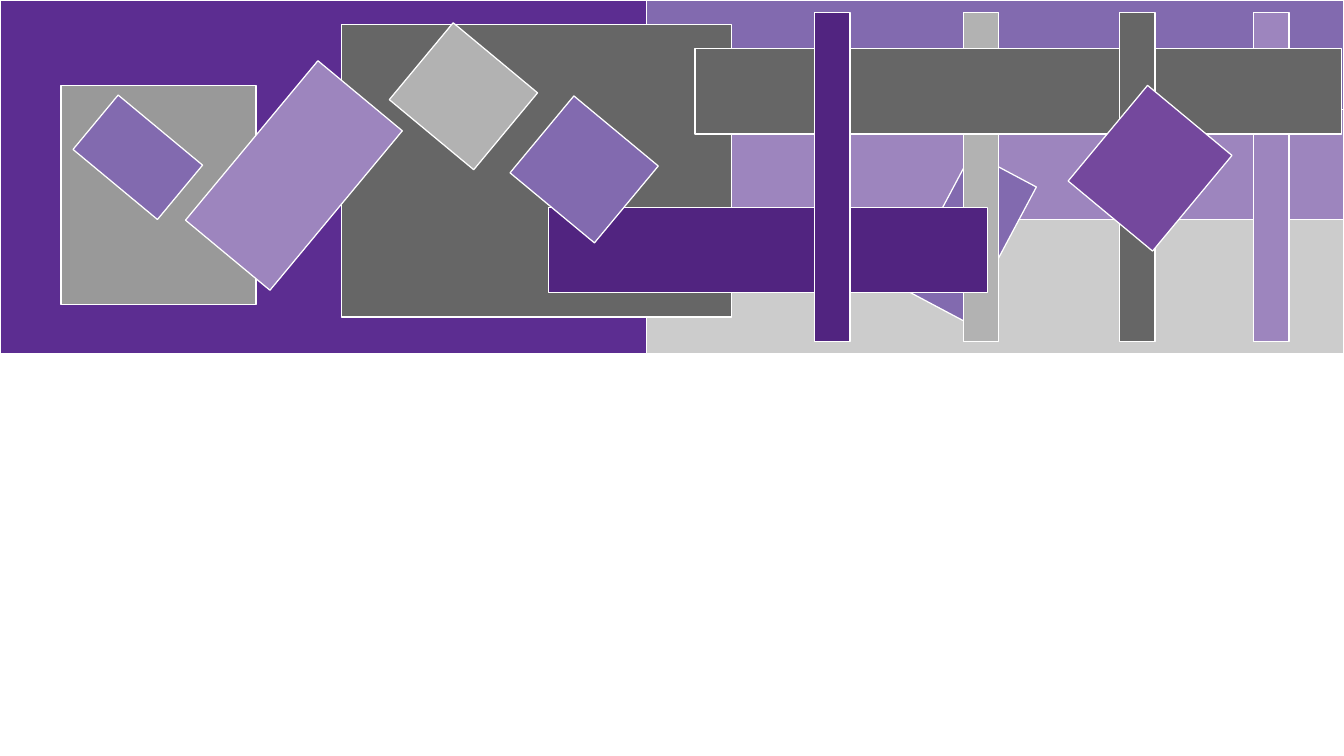
from pptx import Presentation
from pptx.dml.color import RGBColor
from pptx.enum.shapes import MSO_SHAPE
from pptx.util import Pt

WIDE, HIGH = 793.44, 446.4
SPLIT = 381.6  # x where the dark panel meets the bands
TILT = 39.7
DEEP, DARK, PLUM = "5C2D91", "512480", "74489D"
MID, PALE = "826AAF", "9D85BE"
COAL, GREY, ASH, MIST = "666666", "999999", "B2B2B2", "CCCCCC"


def color(code):
    return RGBColor.from_string(code)


class Banner:
    """Holds the outline style, the current slide and its group of blocks."""
    edge = "FFFFFF"
    post_top, post_wide, post_high = 7.2, 20.88, 194.4
    tile_wide = 64.8

    def __init__(self, slide):
        self.slide = slide
        self.group = slide.shapes.add_group_shape()

    def block(self, x, y, wide, high, fill, turn=0):
        shape = self.group.shapes.add_shape(
            MSO_SHAPE.RECTANGLE, Pt(x), Pt(y), Pt(wide), Pt(high))
        shape.rotation = turn
        shape.shadow.inherit = False
        shape.fill.solid()
        shape.fill.fore_color.rgb = color(fill)
        shape.line.color.rgb = color(self.edge)
        shape.line.width = Pt(0)

    def band(self, y, high, fill):
        self.block(SPLIT, y, WIDE - SPLIT, high, fill)

    def post(self, x, fill):
        self.block(x, self.post_top, self.post_wide, self.post_high, fill)

    def tile(self, x, y, high, fill):
        self.block(x, y, self.tile_wide, high, fill, TILT)


def main():
    deck = Presentation()
    deck.slide_width, deck.slide_height = Pt(WIDE), Pt(HIGH)
    banner = Banner(deck.slides.add_slide(deck.slide_layouts[6]))

    banner.band(64.8, 64.8, PALE)
    banner.band(129.6, 79.2, MIST)
    banner.band(0, 64.8, MID)
    banner.block(550.08, 95.04, 43.2, 90, MID, 28)
    banner.post(568.8, ASH)
    banner.post(740.16, PALE)

    banner.block(0, 0, SPLIT, 208.8, DEEP)
    banner.block(201.6, 14.4, 230.4, 172.8, COAL)
    banner.block(410.4, 28.8, 381.6, 50.4, COAL)
    banner.block(324, 122.4, 259.2, 50.4, DARK)
    banner.block(36, 50.4, 115.2, 129.6, GREY)
    banner.post(480.96, DARK)
    banner.post(660.96, COAL)

    for x, y, high, fill in [
        (141.12, 42.48, 122.4, PALE),
        (48.96, 72, 41.76, MID),
        (312.48, 70.56, 59.04, MID),
        (646.56, 62.64, 73.44, PLUM),
        (241.2, 27.36, 59.04, ASH),
    ]:
        banner.tile(x, y, high, fill)

    deck.save("out.pptx")


if __name__ == "__main__":
    main()
